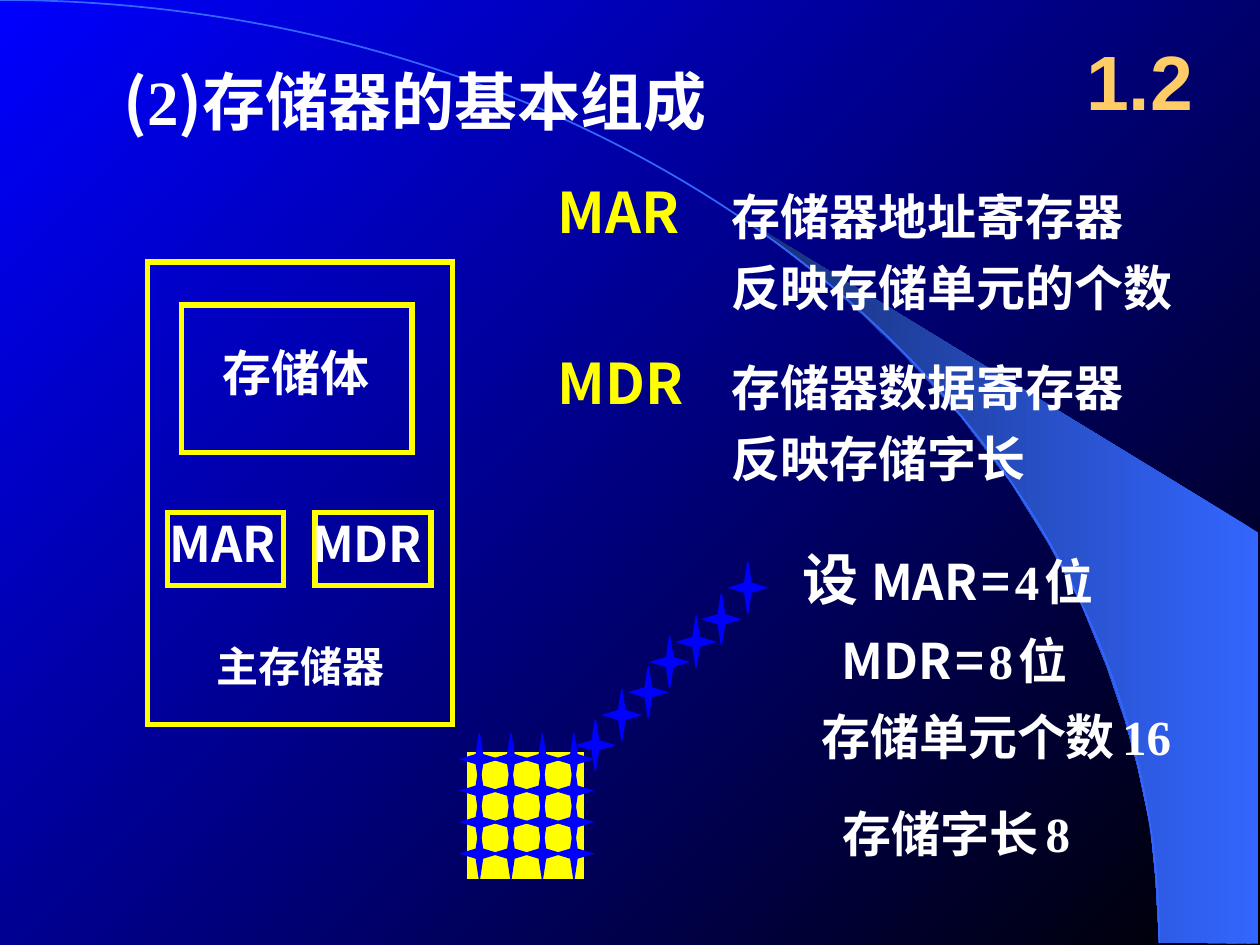
"""Build the slide on the basic make-up of a memory, with its MAR and MDR registers."""
from lxml.etree import SubElement
from pptx import Presentation
from pptx.dml.color import RGBColor
from pptx.enum.shapes import MSO_SHAPE as Shape
from pptx.enum.text import MSO_ANCHOR as Anchor, MSO_AUTO_SIZE as Fit, PP_ALIGN as Align
from pptx.oxml.ns import qn
from pptx.util import Pt

PX = 9144
WHITE = RGBColor(0xFF, 0xFF, 0xFF)
BLACK = RGBColor(0, 0, 0)
YELLOW = RGBColor(0xFF, 0xFF, 0)
BLUE = RGBColor(0, 0, 0xFF)
SKY = RGBColor(0x33, 0x66, 0xFF)
NAVY = RGBColor(0x17, 0x2F, 0x75)
GOLD = RGBColor(0xFF, 0xCC, 0x66)
SANS, SERIF = "Noto Sans CJK SC", "Times New Roman"

deck = Presentation()
deck.slide_width, deck.slide_height = 1000 * PX, 750 * PX
slide = deck.slides.add_slide(deck.slide_layouts[6])
shapes = slide.shapes


def add_text(lines, box, size=28, color=WHITE, font=SANS, align=Align.LEFT,
             wrap=False, pad=True, gap=7, indent=0, anchor=Anchor.TOP):
    """Add lines of text; a line is a string or a list of (text, size, font)."""
    frame = shapes.add_textbox(*[n * PX for n in box]).text_frame
    frame.word_wrap, frame.vertical_anchor = wrap, anchor
    frame.auto_size = Fit.NONE if wrap else Fit.SHAPE_TO_FIT_TEXT
    if not pad:
        frame.margin_left = frame.margin_right = 0
        frame.margin_top = frame.margin_bottom = 0
    for i, line in enumerate(lines):
        para = frame.paragraphs[0] if i == 0 else frame.add_paragraph()
        para.alignment = align
        if i:
            para.space_before = Pt(gap)
            para._p.get_or_add_pPr().set("marL", str(indent * PX))
        runs = [(line, size, font)] if isinstance(line, str) else line
        for part, points, face in runs:
            run = para.add_run()
            run.text = part
            run.font.size, run.font.bold, run.font.name = Pt(points), True, face
            run.font.color.rgb = color
            SubElement(run._r.get_or_add_rPr(), qn("a:ea"), typeface=face)


def add_form(kind, box, fill=None, line=None, width=0.75):
    """Add a preset shape with a plain fill and a line with sharp corners."""
    form = shapes.add_shape(kind, *[n * PX for n in box])
    form.shadow.inherit = False
    if fill is None:
        form.fill.background()
    else:
        form.fill.solid()
        form.fill.fore_color.rgb = fill
    form.line.color.rgb, form.line.width = line, Pt(width)
    SubElement(form.line._get_or_add_ln(), qn("a:miter"), lim="800000")


back = slide.background.fill
edge = [(999, 749), (999, 423), (589, 173), (624, 199), (653, 222), (685, 250),
        (716, 280), (762, 330), (803, 384), (832, 431), (858, 479), (878, 528),
        (893, 572), (903, 609), (913, 656), (917, 696)]
path = shapes.build_freeform(920, 748, scale=PX)
path.add_line_segments(edge, close=True)
beam = path.convert_to_shape()
beam.shadow.inherit = False
beam.line.fill.background()
for fill, angle, first, last in [(back, 135, BLACK, BLUE), (beam.fill, 180, SKY, NAVY)]:
    fill.gradient()
    fill.gradient_angle = angle
    for stop, color, place in zip(fill.gradient_stops, (first, last), (0, 1)):
        stop.color.rgb, stop.position = color, place
add_form(Shape.ARC, (-920, 0, 1840, 1497), line=SKY, width=1)

add_form(Shape.RECTANGLE, (371, 597, 92, 100), fill=YELLOW, line=YELLOW)
grid = [(366 + 25 * col, 582 + 25 * row) for row in range(4) for col in range(4)]
trail = [(458, 571), (479, 547), (500, 529), (517, 505), (538, 489), (558, 471), (579, 446)]
for x, y in grid + trail:
    add_form(Shape.STAR_4_POINT, (x, y, 29, 41), fill=BLUE, line=BLUE)

add_text([[("(", 36, SANS), ("2", 36, SERIF), (")存储器的基本组成", 36, SANS)]],
         (88, 45, 520, 70), wrap=True)
add_text(["1.2"], (842, 17, 125, 92), size=44, color=GOLD, font="Arial",
         align=Align.CENTER, wrap=True, anchor=Anchor.MIDDLE)

notes = [("MAR", 136, ["存储器地址寄存器", "反映存储单元的个数"]),
         ("MDR", 272, ["存储器数据寄存器", "反映存储字长"])]
for name, y, lines in notes:
    add_text([name], (433, y, 130, 64), size=32, color=YELLOW, wrap=True)
    add_text(lines, (571, y + 7, 400, 113), wrap=True)

sums = [[(name, 28, SANS), (" ", 9, SANS), ("=", 28, SANS), (" ", 12, SANS),
         (bits, 28, SERIF), (" ", 14, SANS), ("位", 28, SANS)]
        for name, bits in [("MAR", "4"), ("MDR", "8")]]
add_text([[("设 ", 32, SANS)] + sums[0], sums[1]], (627, 427, 373, 127),
         wrap=True, gap=11, indent=31)
for label, value, x, y in [("存储单元个数", "16", 642, 556), ("存储字长", "8", 659, 633)]:
    add_text([[(label, 28, SANS), (" ", 18, SANS), (value, 28, SERIF)]],
             (x, y, 1000 - x, 57), wrap=True)

for box in [(117, 208, 242, 367), (144, 242, 183, 117), (133, 407, 92, 58), (250, 407, 92, 58)]:
    add_form(Shape.RECTANGLE, box, line=YELLOW, width=3)
add_text(["主存储器"], (168, 508, 141, 40), size=24, align=Align.CENTER, pad=False)
add_text(["存储体"], (165, 267, 140, 57), align=Align.CENTER)
for name, x in [("MAR", 125), ("MDR", 238)]:
    add_text([name], (x, 403, 120, 57), wrap=True)

deck.save("out.pptx")
